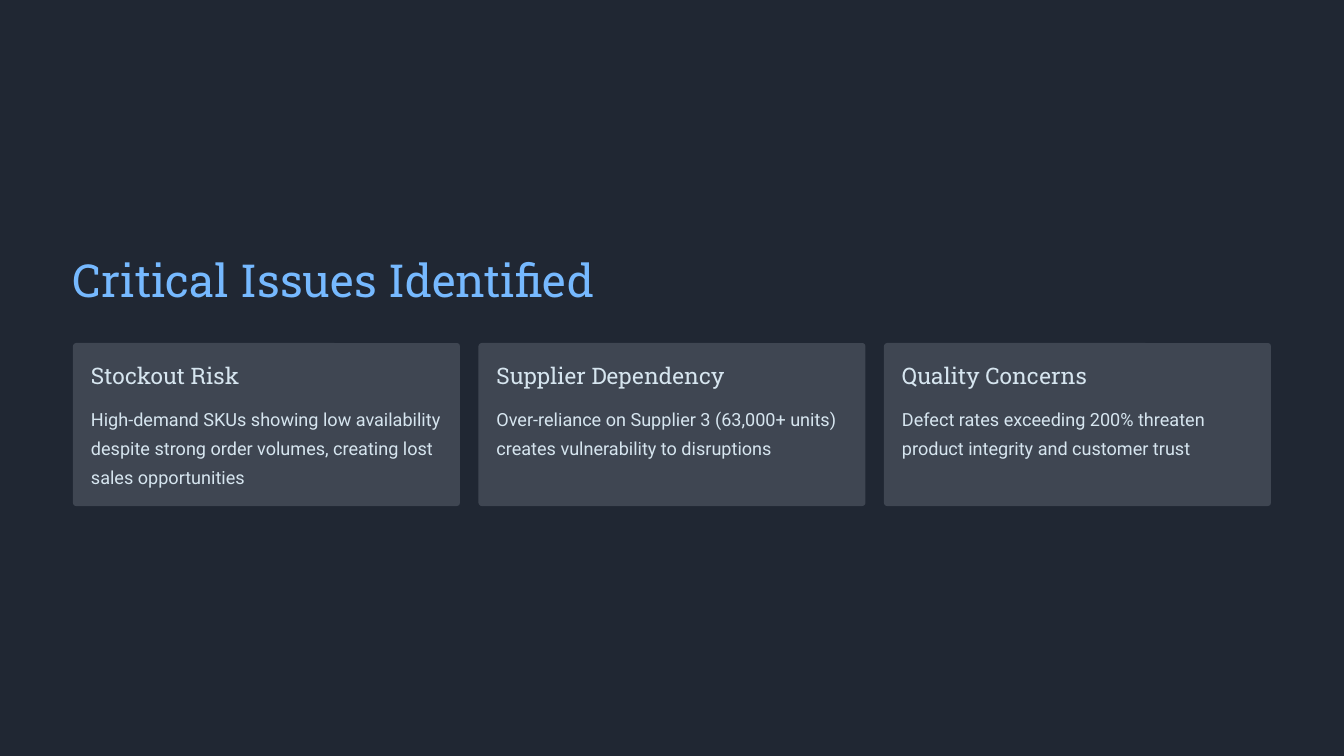
import pptx
import pptx.dml.color
import pptx.enum.shapes
import pptx.util

RGBColor = pptx.dml.color.RGBColor
Pt = pptx.util.Pt

PX = 914400 / 84  # EMU per px
SLIDE_W, SLIDE_H = 1344, 756

NAVY = RGBColor(0x20, 0x27, 0x33)
SLATE = RGBColor(0x3F, 0x46, 0x52)
BLUE = RGBColor(0x76, 0xB9, 0xFF)
PALE = RGBColor(0xD6, 0xE5, 0xEF)

# Font name, size, line spacing and colour of each kind of text
TITLE = {"name": "Roboto Slab", "size": Pt(39), "line": Pt(48.5), "color": BLUE}
HEADING = {"name": "Roboto Slab", "size": Pt(19.5), "line": Pt(24), "color": PALE}
BODY = {"name": "Roboto", "size": Pt(15.5), "line": Pt(25), "color": PALE}

ISSUES = [
    ("Stockout Risk",
     "High-demand SKUs showing low availability despite strong order volumes, "
     "creating lost sales opportunities"),
    ("Supplier Dependency",
     "Over-reliance on Supplier 3 (63,000+ units) creates vulnerability to disruptions"),
    ("Quality Concerns",
     "Defect rates exceeding 200% threaten product integrity and customer trust"),
]


def emu(*lengths):
    return [pptx.util.Emu(round(n * PX)) for n in lengths]


def add_text(slide, box, text, style):
    tf = slide.shapes.add_textbox(*emu(*box)).text_frame
    tf.word_wrap = True
    for side in ("left", "top", "right", "bottom"):
        setattr(tf, f"margin_{side}", 0)
    p = tf.paragraphs[0]
    p.line_spacing = style["line"]
    r = p.add_run()
    r.text = text
    for key in ("name", "size"):
        setattr(r.font, key, style[key])
    r.font.color.rgb = style["color"]


def add_card(slide, box, heading, body):
    x, y, w, h = box
    pad = 18

    # Panel
    sp = slide.shapes.add_shape(
        pptx.enum.shapes.MSO_SHAPE.ROUNDED_RECTANGLE, *emu(*box))
    sp.adjustments[0] = 0.02
    sp.shadow.inherit = False
    sp.fill.solid()
    sp.fill.fore_color.rgb = SLATE
    sp.line.fill.background()

    # Heading and description
    inner_w = w - 2 * pad
    add_text(slide, (x + pad, y + pad, inner_w, 29), heading, HEADING)
    add_text(slide, (x + pad, y + 58, inner_w, 87), body, BODY)


def add_cards(slide, box, issues):
    x, y, w, h = box
    card_w = 387
    pitch = (w - card_w) / (len(issues) - 1)
    for i, (heading, body) in enumerate(issues):
        add_card(slide, (x + i * pitch, y, card_w, h), heading, body)


def add_issues_slide(prs):
    slide = prs.slides.add_slide(prs.slide_layouts[6])
    fill = slide.background.fill
    fill.solid()
    fill.fore_color.rgb = NAVY

    margin = 73
    add_text(slide, (margin, 250, 560, 57), "Critical Issues Identified", TITLE)
    add_cards(slide, (margin, 343, SLIDE_W - 2 * margin, 163), ISSUES)


def main():
    prs = pptx.Presentation()
    prs.slide_width, prs.slide_height = emu(SLIDE_W, SLIDE_H)
    add_issues_slide(prs)
    prs.save("out.pptx")


if __name__ == "__main__":
    main()
